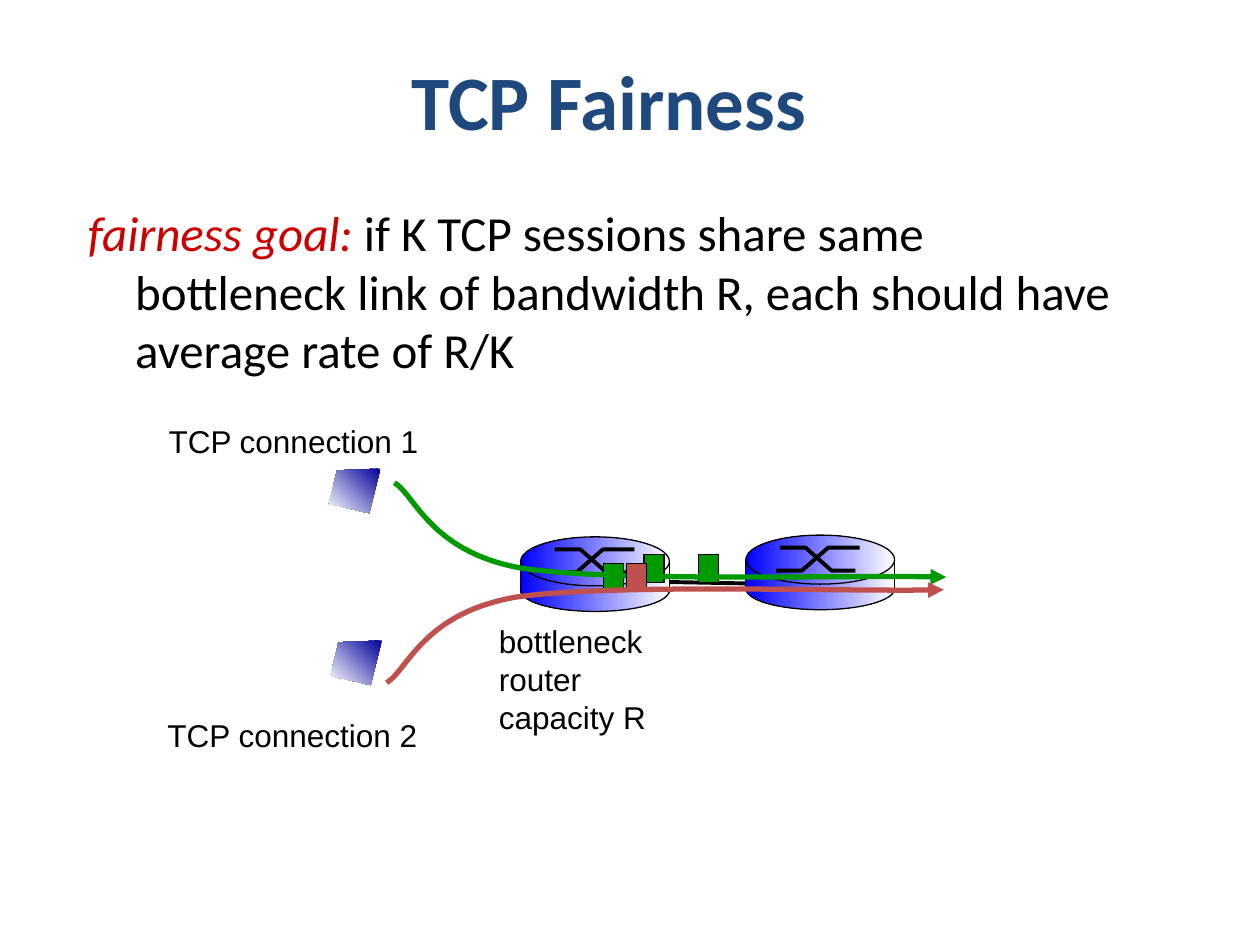
"""Build the TCP Fairness slide with two flows sharing a bottleneck link."""

from lxml.etree import SubElement
from pptx import Presentation
from pptx.dml.color import RGBColor
from pptx.enum.shapes import MSO_CONNECTOR, MSO_SHAPE
from pptx.enum.text import MSO_ANCHOR, MSO_AUTO_SIZE, PP_ALIGN
from pptx.oxml.ns import qn
from pptx.util import Pt

COLORS = {
    "title": "1F497D",
    "goal": "CC0000",
    "black": "000000",
    "white": "FFFFFF",
    "router": "0000FF",
    "screen": "000099",
    "flow 1": "009900",
    "flow 2": "C0504D",
}


def paint(shape, fill=(), angle=0, line=None, width=0.75):
    """Fill with no, one or two colours, set the line and drop the shadow."""
    if line:
        shape.line.color.rgb = RGBColor.from_string(COLORS[line])
        shape.line.width = Pt(width)
    else:
        shape.line.fill.background()
    if len(fill) == 2:
        shape.fill.gradient()
        shape.fill.gradient_angle = angle
        for stop, name in zip(shape.fill.gradient_stops, fill):
            stop.color.rgb = RGBColor.from_string(COLORS[name])
    elif fill:
        shape.fill.solid()
        shape.fill.fore_color.rgb = RGBColor.from_string(COLORS[fill[0]])
    elif hasattr(shape, "fill"):
        shape.fill.background()
    SubElement(shape._element.spPr, qn("a:effectLst"))


def add_outline(shapes, points, close=False):
    """Add a freeform through points given in points."""
    corners = [(Pt(x), Pt(y)) for x, y in points]
    builder = shapes.build_freeform(*corners[0], scale=1.0)
    builder.add_line_segments(corners[1:], close=close)
    return builder.convert_to_shape()


presentation = Presentation()
presentation.slide_width = Pt(720)
presentation.slide_height = Pt(540)
slide = presentation.slides.add_slide(presentation.slide_layouts[1])

title = slide.shapes.title
title.left, title.top, title.width, title.height = Pt(42), Pt(12), Pt(612), Pt(90)
title.text_frame.text = "TCP Fairness"
title.text_frame.vertical_anchor = MSO_ANCHOR.MIDDLE
paragraph = title.text_frame.paragraphs[0]
paragraph.alignment = PP_ALIGN.CENTER
font = paragraph.runs[0].font
font.name, font.size, font.bold = "Calibri", Pt(44), True
font.color.rgb = RGBColor.from_string(COLORS["title"])

body = slide.placeholders[1]
body.left, body.top, body.width, body.height = Pt(43), Pt(112), Pt(600), Pt(173)
paragraph = body.text_frame.paragraphs[0]
properties = paragraph._p.get_or_add_pPr()
properties.set("marL", str(Pt(27)))
properties.set("indent", str(Pt(-27)))
SubElement(properties, qn("a:buNone"))
paragraph.space_before = Pt(0)
for text, color, italic in [
    ("fairness goal:", "goal", True),
    (
        " if K TCP sessions share same bottleneck link of bandwidth R, "
        "each should have average rate of R/K",
        "black",
        False,
    ),
]:
    run = paragraph.add_run()
    run.text = text
    run.font.name, run.font.size, run.font.italic = "Calibri", Pt(28), italic
    run.font.color.rgb = RGBColor.from_string(COLORS[color])

link = slide.shapes.add_connector(
    MSO_CONNECTOR.STRAIGHT, Pt(382.5), Pt(332.6), Pt(426.2), Pt(333.4)
)
paint(link, line="black", width=2.25)

for left, top in [(297.5, 306.8), (426.2, 305.8)]:
    router = slide.shapes.add_group_shape().shapes
    for kind, offset, height, line in [
        (MSO_SHAPE.OVAL, 18.6, 24, "black"),
        (MSO_SHAPE.RECTANGLE, 16.4, 14.5, None),
        (MSO_SHAPE.OVAL, 0, 28, "black"),
    ]:
        part = router.add_shape(kind, Pt(left), Pt(top + offset), Pt(85), Pt(height))
        paint(part, ("router", "white"), line=line)
    for columns, start, end in [
        ((17.3, 32, 47, 65), 20.3, 7.2),
        ((19.4, 34.2, 49, 62.6), 7.2, 20.3),
    ]:
        rows = (start, start, end, end)
        points = [(left + x, top + y) for x, y in zip(columns, rows)]
        paint(add_outline(router, points), line="black", width=2.25)
    for x in (left, left + 85):
        side = router.add_connector(
            MSO_CONNECTOR.STRAIGHT, Pt(x), Pt(top + 14), Pt(x), Pt(top + 32)
        )
        paint(side, line="black")

flows = [
    (
        "flow 1",
        [(399, 317), (345, 322), (368, 317)],
        [(225.4, 275.8), (237.6, 283.7), (246.2, 315.4), (298.1, 324.7),
         (350.6, 332.6), (490.3, 328.3), (540.7, 329.8)],
    ),
    (
        "flow 2",
        [(358, 322)],
        [(221, 390.2), (233.3, 382.3), (241.9, 350.6), (294.5, 341.3),
         (347.8, 333.4), (488.9, 338.4), (539.3, 337)],
    ),
]
for color, packets, curve in flows:
    for left, top in packets:
        packet = slide.shapes.add_shape(
            MSO_SHAPE.RECTANGLE, Pt(left), Pt(top), Pt(11.5), Pt(15.8)
        )
        paint(packet, (color,), line="black")
    flow = add_outline(slide.shapes, curve)
    segments = list(flow._element.iter(qn("a:lnTo")))
    for index in range(0, len(segments), 3):
        bezier, *others = segments[index:index + 3]
        bezier.tag = qn("a:cubicBezTo")
        for segment in others:
            bezier.append(segment[0])
            segment.getparent().remove(segment)
    paint(flow, line=color, width=3)
    SubElement(flow.line._get_or_add_ln(), qn("a:tailEnd"), type="triangle")

for left, top in [(188, 267.8), (188.8, 366)]:
    corners = [(29.4, 0), (4.6, 1), (0, 20.2), (23, 25.5)]
    screen = add_outline(
        slide.shapes, [(left + x, top + y) for x, y in corners], close=True
    )
    paint(screen, ("screen", "white"), angle=225)

for text, left, top, width, height in [
    ("TCP connection 1", 89.3, 237.6, 158, 29),
    ("TCP connection 2", 88.6, 405.4, 158, 29),
    ("bottleneck\nrouter\ncapacity R", 278, 352, 99, 72),
]:
    label = slide.shapes.add_textbox(Pt(left), Pt(top), Pt(width), Pt(height))
    label.text_frame.text = text
    label.text_frame.word_wrap = False
    label.text_frame.auto_size = MSO_AUTO_SIZE.SHAPE_TO_FIT_TEXT
    for paragraph in label.text_frame.paragraphs:
        font = paragraph.runs[0].font
        font.name, font.size = "Arial", Pt(18)
        font.color.rgb = RGBColor.from_string(COLORS["black"])

presentation.save("out.pptx")
